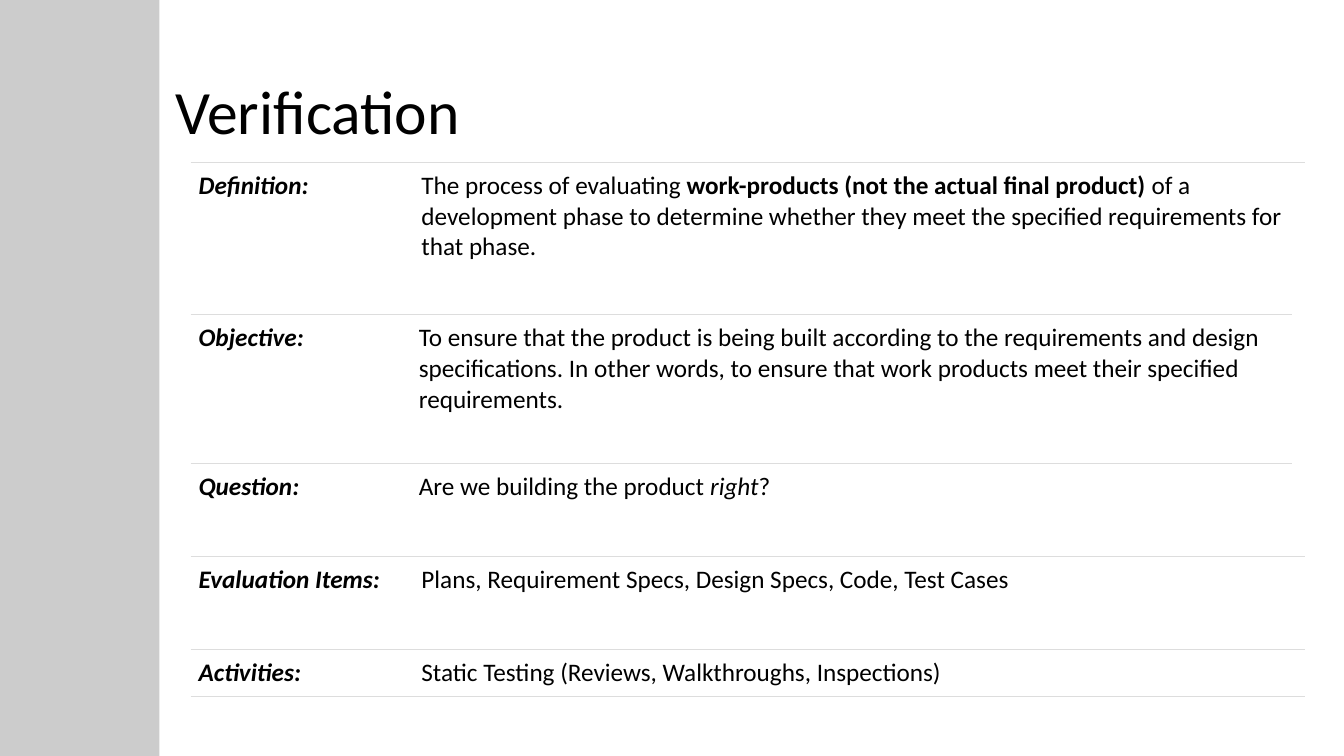
from lxml.etree import SubElement
from pptx import Presentation
from pptx.dml.color import RGBColor
from pptx.enum.shapes import MSO_SHAPE
from pptx.enum.text import MSO_ANCHOR, PP_ALIGN
from pptx.oxml.ns import qn
from pptx.util import Inches, Pt

FONT = "Calibri"
BLACK, WHITE, RULE = "000000", "FFFFFF", "DDDDDD"
NARROW, WIDE = 10.92, 11.05
LABEL_SHARE = 0.2
LINE_HEIGHT, CELL_MARGIN = 0.305, 0.08

ENTRIES = [
    (1.61, WIDE, 3, "Definition:", [
        ("The process of evaluating ", False, False),
        ("work-products (not the actual final product) ", True, False),
        ("of a development phase to determine whether they meet the "
         "specified requirements for that phase.", False, False)]),
    (3.12, NARROW, 3, "Objective:", [
        ("To ensure that the product is being built according to the "
         "requirements and design specifications. In other words, to ensure "
         "that work products meet their specified requirements.", False, False)]),
    (4.6, NARROW, 1, "Question:", [
        ("Are we building the product ", False, False),
        ("right", False, True),
        ("?", False, False)]),
    (5.52, WIDE, 1, "Evaluation Items:", [
        ("Plans, Requirement Specs, Design Specs, Code, Test Cases", False, False)]),
    (6.44, WIDE, 1, "Activities:", [
        ("Static Testing (Reviews, Walkthroughs, Inspections)", False, False)]),
]


def paint(color_format, hex_color):
    color_format.rgb = RGBColor.from_string(hex_color)


def style_font(font, size, bold=False, italic=False):
    font.name, font.size = FONT, Pt(size)
    font.bold, font.italic = bold, italic
    paint(font.color, BLACK)


def add_sidebar(slide, left, top, width, height):
    sidebar = slide.shapes.add_shape(
        MSO_SHAPE.RECTANGLE, Inches(left), Inches(top), Inches(width), Inches(height))
    sidebar.shadow.inherit = False
    sidebar.line.fill.background()
    sidebar.fill.solid()
    paint(sidebar.fill.fore_color, BLACK)
    tint = sidebar.fill._xPr.find(".//" + qn("a:srgbClr"))
    SubElement(tint, qn("a:alpha"), val="20000")


def set_heading(slide, text, left, top, width, height):
    heading = slide.shapes.title
    heading.left, heading.top = Inches(left), Inches(top)
    heading.width, heading.height = Inches(width), Inches(height)
    heading.text_frame.text = text
    heading.text_frame.vertical_anchor = MSO_ANCHOR.MIDDLE
    line = heading.text_frame.paragraphs[0]
    line.alignment = PP_ALIGN.LEFT
    line.line_spacing = 0.9
    style_font(line.runs[0].font, 44)


def set_borders(cell, ruled_sides):
    properties = cell._tc.get_or_add_tcPr()
    for side in "LRTB":
        border = SubElement(properties, qn("a:ln" + side), w=str(Pt(0.75)))
        if side in ruled_sides:
            fill = SubElement(border, qn("a:solidFill"))
            SubElement(fill, qn("a:srgbClr"), val=RULE)
        else:
            SubElement(border, qn("a:noFill"))


def fill_cell(cell, pieces, ruled_sides):
    set_borders(cell, ruled_sides)
    cell.fill.solid()
    paint(cell.fill.fore_color, WHITE)
    cell.margin_left = cell.margin_right = Inches(CELL_MARGIN)
    cell.margin_top = cell.margin_bottom = Inches(CELL_MARGIN)
    wording = cell.text_frame.paragraphs[0]
    for text, bold, italic in pieces:
        run = wording.add_run()
        run.text = text
        style_font(run.font, 18, bold, italic)


def add_entry(slide, left, top, width, height, label, description, ruled_sides):
    entry = slide.shapes.add_table(
        1, 2, Inches(left), Inches(top), Inches(width), Inches(height)).table
    entry.first_row = entry.horz_banding = False
    entry.columns[0].width = Inches(width * LABEL_SHARE)
    entry.columns[1].width = Inches(width * (1 - LABEL_SHARE))
    fill_cell(entry.cell(0, 0), [(label, True, True)], ruled_sides)
    fill_cell(entry.cell(0, 1), description, ruled_sides)


def build_verification(presentation):
    slide = presentation.slides.add_slide(presentation.slide_layouts[5])
    add_sidebar(slide, 0, 0, 1.58, 7.5)
    set_heading(slide, "Verification", 1.64, 0.41, 10.78, 1.45)
    for top, width, lines, label, description in ENTRIES:
        height = lines * LINE_HEIGHT + 2 * CELL_MARGIN
        ruled_sides = "TB" if label == ENTRIES[-1][3] else "T"
        add_entry(slide, 1.89, top, width, height, label, description, ruled_sides)


def main():
    presentation = Presentation()
    presentation.slide_width, presentation.slide_height = Inches(13.33), Inches(7.5)
    build_verification(presentation)
    presentation.save("out.pptx")


if __name__ == "__main__":
    main()
